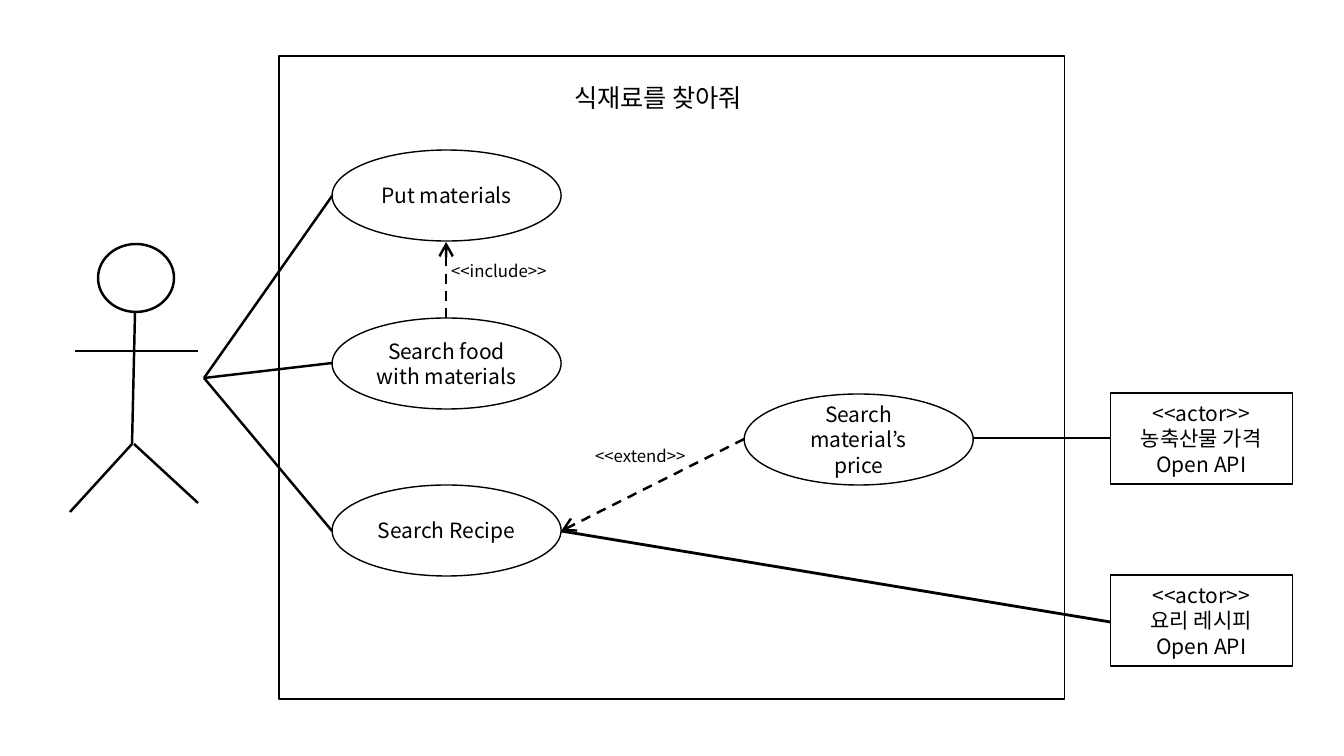
import pptx
import pptx.util
import pptx.dml.color
import pptx.enum.dml
import pptx.enum.shapes
import pptx.enum.text
import pptx.oxml.ns
from lxml import etree

PX = 914400 / 100.8
BLACK = pptx.dml.color.RGBColor(0, 0, 0)
FONT = "Noto Sans CJK KR"
OVAL = pptx.enum.shapes.MSO_SHAPE.OVAL
RECT = pptx.enum.shapes.MSO_SHAPE.RECTANGLE
LEFT = pptx.enum.text.PP_ALIGN.LEFT
CENTER = pptx.enum.text.PP_ALIGN.CENTER
TOP = pptx.enum.text.MSO_ANCHOR.TOP
MIDDLE = pptx.enum.text.MSO_ANCHOR.MIDDLE


def px(n):
    return pptx.util.Emu(round(n * PX))


def child(parent, tag, **attrs):
    return etree.SubElement(parent, pptx.oxml.ns.qn(tag), attrs)


def write(sp, lines, size, align, anchor):
    tf = sp.text_frame
    tf.word_wrap = True
    tf.auto_size = pptx.enum.text.MSO_AUTO_SIZE.NONE
    tf.vertical_anchor = anchor
    tf.margin_left = tf.margin_right = px(10)
    tf.margin_top = tf.margin_bottom = px(5)
    for i, line in enumerate(lines):
        p = tf.add_paragraph() if i else tf.paragraphs[0]
        p.alignment = align
        p.line_spacing = pptx.util.Pt(size * 1.2)
        p.space_before = pptx.util.Pt(0)
        r = p.add_run()
        r.text = line
        r.font.size = pptx.util.Pt(size)
        r.font.name = FONT
        r.font.color.rgb = BLACK
        child(r.font._element, "a:ea", typeface=FONT)


def add_outline(shapes, kind, x, y, w, h, lines=(), weight=1):
    sp = shapes.add_shape(kind, px(x), px(y), px(w), px(h))
    sp.shadow.inherit = False
    sp.fill.background()
    sp.line.color.rgb = BLACK
    sp.line.width = pptx.util.Pt(weight)
    write(sp, lines, 15, CENTER, MIDDLE)


def add_line(shapes, start, end, weight=1.75, dashed_arrow=False):
    straight = pptx.enum.shapes.MSO_CONNECTOR.STRAIGHT
    cxn = shapes.add_connector(straight, *map(px, start + end))
    cxn.line.color.rgb = BLACK
    cxn.line.width = pptx.util.Pt(weight)
    if dashed_arrow:
        cxn.line.dash_style = pptx.enum.dml.MSO_LINE.DASH
        child(cxn.line._get_or_add_ln(), "a:tailEnd", type="arrow", w="lg", len="lg")
    child(cxn._element.spPr, "a:effectLst")


def add_label(shapes, x, y, w, text):
    sp = shapes.add_textbox(px(x), px(y), px(w), px(30))
    write(sp, [text], 12, LEFT, TOP)


def set_title(sp, text):
    sp.left, sp.top, sp.width, sp.height = map(px, (564, 77, 218, 40))
    write(sp, [text], 18, LEFT, TOP)


def add_stick_figure(shapes):
    parts = shapes.add_group_shape().shapes
    add_outline(parts, OVAL, 98, 244, 76, 68, weight=1.75)
    for start, end in [
        ((135, 312), (132, 444)),
        ((132, 444), (70, 512)),
        ((134, 444), (198, 503)),
        ((75, 351), (198, 351)),
    ]:
        add_line(parts, start, end)


def main():
    prs = pptx.Presentation()
    prs.slide_width = pptx.util.Inches(13.33)
    prs.slide_height = pptx.util.Inches(7.5)
    s = prs.slides.add_slide(prs.slide_layouts[5])
    shapes = s.shapes

    set_title(shapes.title, "식재료를 찾아줘")
    add_outline(shapes, RECT, 279, 56, 785, 643)

    for x, y, lines in [
        (332, 150, ["Put materials"]),
        (332, 318, ["Search food", "with materials"]),
        (332, 485, ["Search Recipe"]),
        (744, 394, ["Search material’s price"]),
    ]:
        add_outline(shapes, OVAL, x, y, 229, 91, lines)

    for y, service in [(393, "농축산물 가격"), (575, "요리 레시피")]:
        lines = ["<<actor>>", service, "Open API"]
        add_outline(shapes, RECT, 1110, y, 182, 91, lines)

    add_stick_figure(shapes)
    for y in (196, 363, 531):
        add_line(shapes, (204, 378), (332, y))
    add_line(shapes, (973, 438), (1110, 438), 2)
    add_line(shapes, (561, 531), (1110, 622), 2)

    add_line(shapes, (446, 318), (446, 242), dashed_arrow=True)
    add_label(shapes, 441, 256, 123, "<<include>>")
    add_line(shapes, (744, 439), (561, 531), dashed_arrow=True)
    add_label(shapes, 585, 441, 122, "<<extend>>")

    prs.save("out.pptx")


main()
